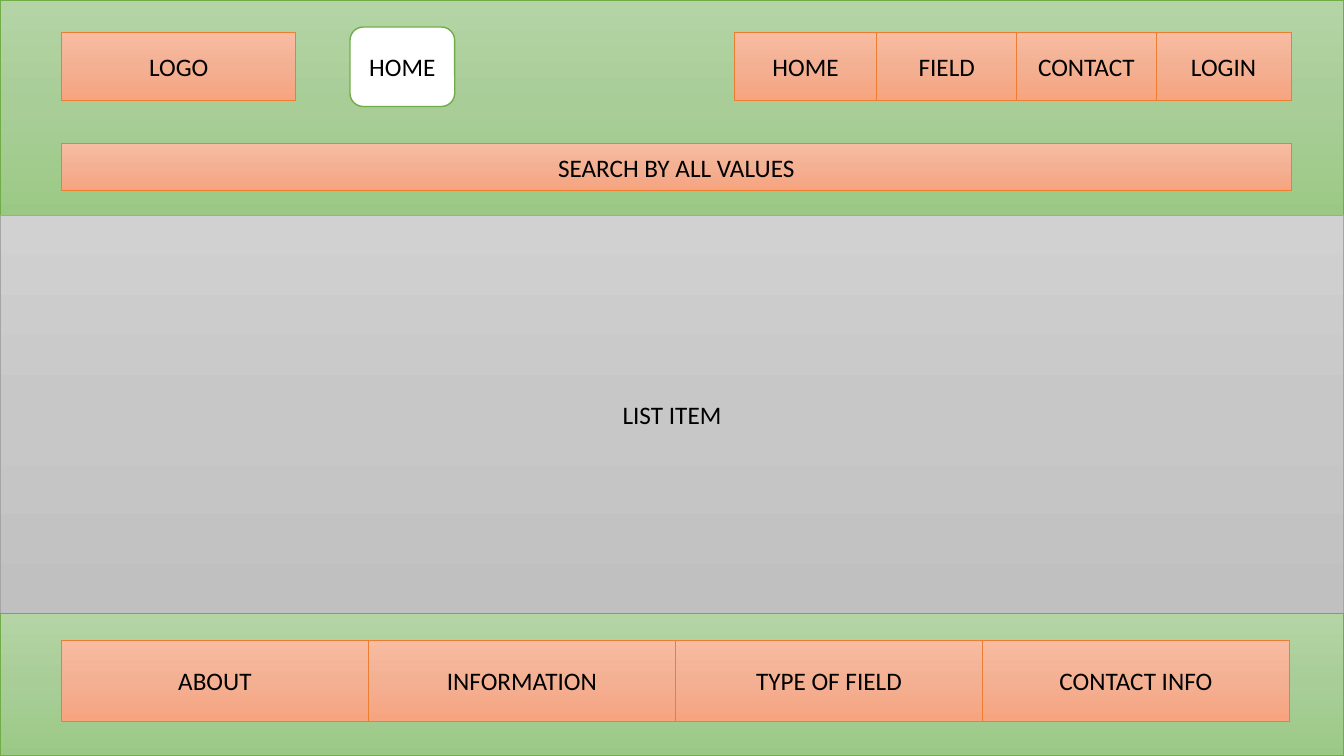
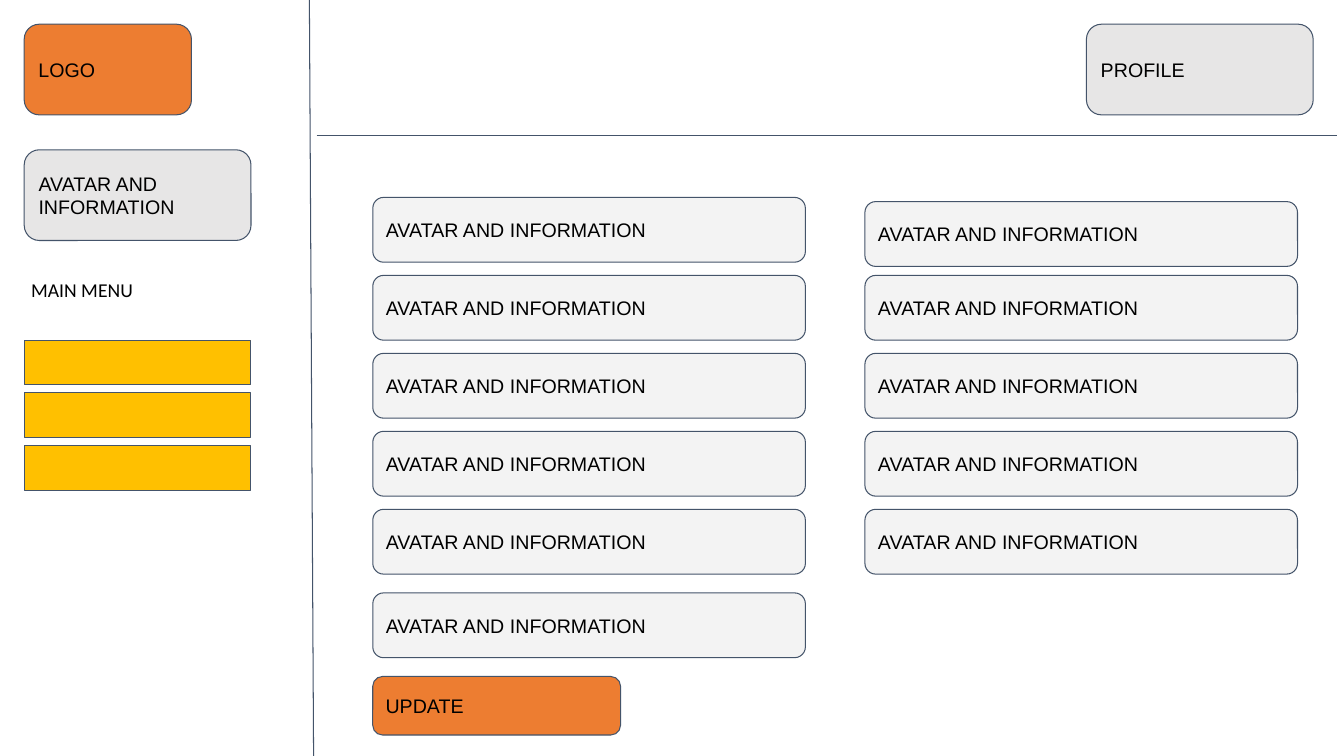
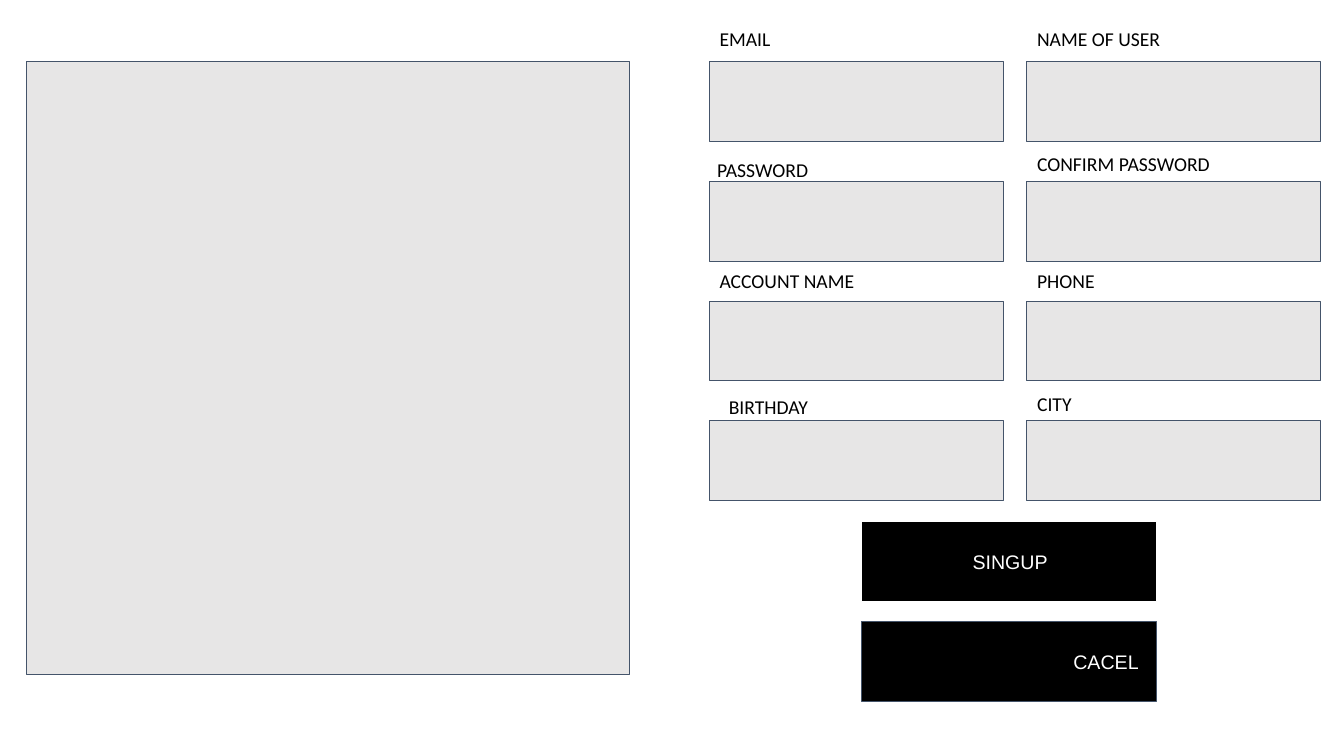
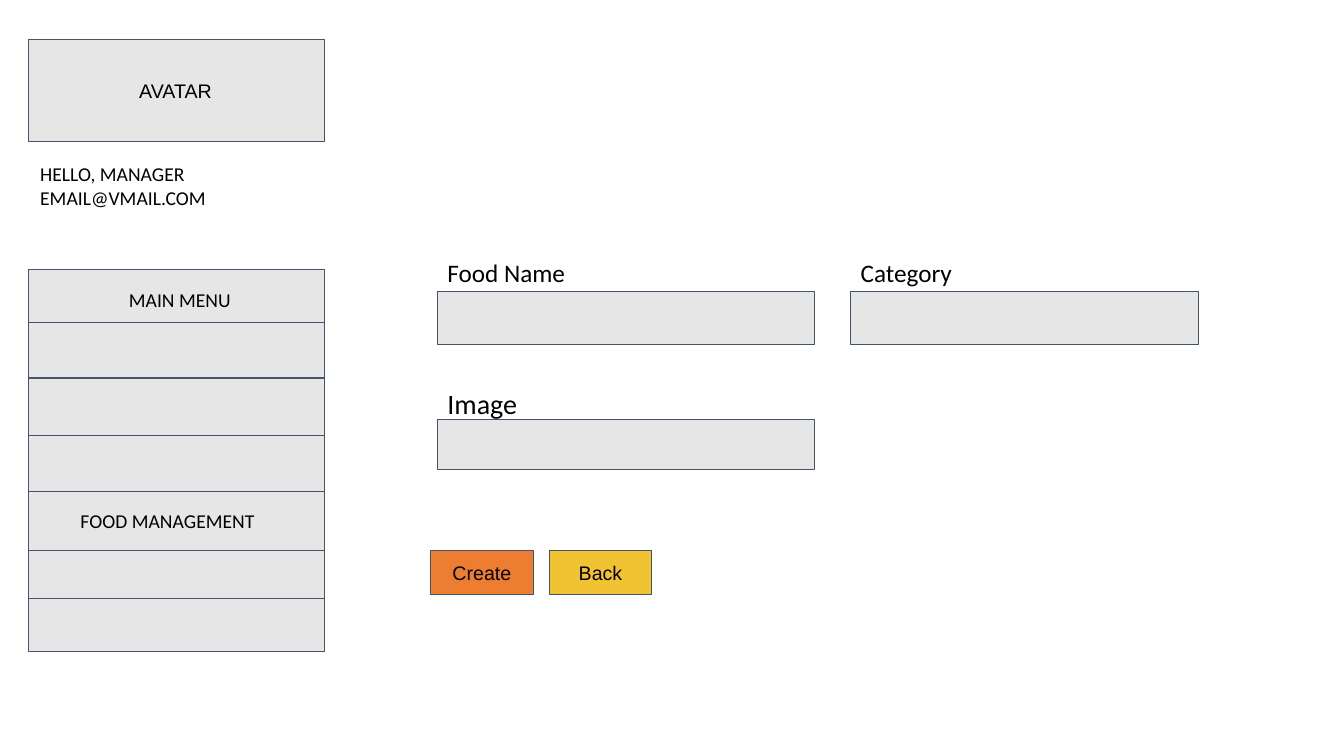
from copy import deepcopy

from lxml import etree
from pptx import Presentation
from pptx.dml.color import RGBColor
from pptx.enum import shapes, text
from pptx.oxml.ns import qn
from pptx.util import Pt

# Shared style
COLORS = {
    "black": "000000", "white": "FFFFFF", "slate": "44546A", "field": "E7E6E6",
    "card": "F3F3F3", "orange": "ED7D31", "gold": "FFC000", "mustard": "F1C232",
    "green": "70AD47", "gray": "A5A5A5",
}
GRADIENTS = {
    "orange": ("F7BCA2", "F4B093", "F7A47F"),
    "green": ("B4D4A5", "A8CD97", "9BC985"),
    "gray": ("D1D1D1", "C7C7C7", "C0C0C0"),
}
RECT = shapes.MSO_SHAPE.RECTANGLE
ROUND = shapes.MSO_SHAPE.ROUNDED_RECTANGLE
PROCESS = shapes.MSO_SHAPE.FLOWCHART_PROCESS
LEFT, CENTER = text.PP_ALIGN.LEFT, text.PP_ALIGN.CENTER
WIDTH, HEIGHT = 960, 540
INSET = 7.2
TAB = 36


def rgb(name):
    return RGBColor.from_string(COLORS[name])


def write(frame, lines, size, font, color="black", align=LEFT, margin=0, first=0, pad=INSET):
    """Fill a text frame; margin and first are the paragraph indents."""
    frame.word_wrap = True
    frame.margin_left = frame.margin_right = Pt(INSET)
    frame.margin_top = frame.margin_bottom = Pt(pad)
    for i, line in enumerate(lines.split("\n")):
        paragraph = frame.paragraphs[0] if i == 0 else frame.add_paragraph()
        paragraph.alignment = align
        if margin or first:
            props = paragraph._p.get_or_add_pPr()
            props.set("marL", str(Pt(margin)))
            props.set("indent", str(Pt(first)))
        run = paragraph.add_run()
        run.text = line
        run.font.size, run.font.name = Pt(size), font
        run.font.color.rgb = rgb(color)


def outline(slide, kind, place, line, weight=0.75):
    shape = slide.shapes.add_shape(kind, *map(Pt, place))
    shape.shadow.inherit = False
    shape.line.color.rgb = rgb(line)
    shape.line.width = Pt(weight)
    return shape


def box(slide, place, fill="field", words="", kind=RECT, line="slate", **style):
    """Flat box with Arial text."""
    shape = outline(slide, kind, place, line)
    shape.fill.solid()
    shape.fill.fore_color.rgb = rgb(fill)
    if words:
        write(shape.text_frame, words, 14, "Arial", **style)


def panel(slide, place, tone, words="", kind=PROCESS):
    """Box with a vertical three-stop gradient and centred text."""
    shape = outline(slide, kind, place, tone)
    shape.fill.gradient()
    shape.fill.gradient_angle = 270
    stop_list = shape._element.spPr.find(".//" + qn("a:gsLst"))
    stop_list.insert(1, deepcopy(stop_list[0]))
    for i, (stop, color) in enumerate(zip(shape.fill.gradient_stops, GRADIENTS[tone])):
        stop.position = i / 2
        stop.color.rgb = RGBColor.from_string(color)
    if words:
        write(shape.text_frame, words, 18, "Calibri", align=CENTER, pad=3.6)


def label(slide, place, words, size=14, **style):
    caption = slide.shapes.add_textbox(*map(Pt, place))
    write(caption.text_frame, words, size, "Calibri", **style)
    caption.text_frame.auto_size = text.MSO_AUTO_SIZE.SHAPE_TO_FIT_TEXT


def rule(slide, *ends):
    divider = slide.shapes.add_connector(shapes.MSO_CONNECTOR.STRAIGHT, *map(Pt, ends))
    divider.line.color.rgb = rgb("slate")
    divider.line.width = Pt(0.75)
    etree.SubElement(divider._element.spPr, qn("a:effectLst"))


def home_page(slide):
    # Header, list and footer bands
    panel(slide, (0, 0, WIDTH, 154), "green", kind=RECT)
    panel(slide, (0, 154, WIDTH, 284.5), "gray", "LIST ITEM", RECT)
    panel(slide, (0, 438.5, WIDTH, 101.5), "green", kind=RECT)

    # Header content
    left = 43.9
    panel(slide, (left, 23.5, 167.5, 48.2), "orange", "LOGO")
    nav_edges = (524.5, 626.3, 726.3, 825.8, 922.2)
    for words, start, end in zip(("HOME", "FIELD", "CONTACT", "LOGIN"), nav_edges, nav_edges[1:]):
        panel(slide, (start, 23.5, end - start, 48.2), "orange", words)
    panel(slide, (left, 102.7, 878.3, 33.4), "orange", "SEARCH BY ALL VALUES")
    current = outline(slide, ROUND, (250, 19.3, 74.8, 56.8), "green", 1)
    current.fill.solid()
    current.fill.fore_color.rgb = rgb("white")
    write(current.text_frame, "HOME", 18, "Calibri", align=CENTER, pad=3.6)

    # Footer links
    cell = 219.3
    for i, words in enumerate(("ABOUT", "INFORMATION", "TYPE OF FIELD", "CONTACT INFO")):
        panel(slide, (left + i * cell, 457.3, cell, 57.8), "orange", words)


def profile_page(slide):
    # Sidebar
    left, width = 17.3, 162
    box(slide, (left, 17.3, 119.5, 64.8), "orange", "LOGO", ROUND)
    box(slide, (left, 107, width, 64.8), "field", "AVATAR AND INFORMATION", ROUND)
    label(slide, (15.1, 191.5, width, 31.7), "MAIN MENU")
    for i in range(3):
        box(slide, (left, 243 + i * 37.7, width, 31.7), "gold")

    # Header and dividers
    box(slide, (776, 17.3, width, 64.8), "field", "PROFILE", ROUND)
    rule(slide, 221, 0, 224, HEIGHT)
    rule(slide, 226.1, 96.8, 954.7, 96.8)

    # Information cards: five shared rows and one extra on the left
    rows = [141 + i * 55.7 for i in range(5)]
    columns = ((266.3, rows + [423.5]), (617.8, [144] + rows[1:]))
    for x, tops in columns:
        for top in tops:
            box(slide, (x, top, 309, 46.3), "card", "AVATAR AND INFORMATION", ROUND)
    box(slide, (266.3, 483.2, 177, 41.8), "orange", "UPDATE", ROUND)


def signup_page(slide):
    box(slide, (18.7, 43.7, 431.3, 437.8))

    # Form fields
    width, height = 210.5, 57
    for x in (506.6, 733):
        for row in range(4):
            box(slide, (x, 43.9 + row * 85.6, width, height))

    # Field captions
    captions = (
        ("EMAIL", 506.9, 12.4), ("NAME OF USER", 733.7, 12.4),
        ("PASSWORD", 505.2, 105.8), ("CONFIRM PASSWORD", 733.7, 101.5),
        ("ACCOUNT NAME", 506.9, 185.2), ("PHONE", 733.7, 185.2),
        ("BIRTHDAY", 513.5, 275.2), ("CITY", 733.7, 273),
    )
    for words, x, y in captions:
        label(slide, (x, y, 189, 31.7), words)

    # Buttons
    box(slide, (615.6, 372.5, width, height), "black", "SINGUP",
        line="white", color="white", margin=TAB, first=TAB)
    box(slide, (615.6, 443.8, width, height), "black", "CACEL",
        color="white", margin=4 * TAB)


def food_page(slide):
    # Sidebar
    left, width = 20.3, 211.6
    box(slide, (left, 28.2, width, 73), words="AVATAR", margin=TAB, first=TAB)
    label(slide, (21.6, 108.7, width, 48.2), "HELLO, MANAGER\nEMAIL@VMAIL.COM")
    box(slide, (left, 192.7, width, 272.4))
    for y in (230.4, 270, 311, 351.2, 393.5, 427.2):
        rule(slide, left, y, left + width, y)
    label(slide, (49, 198.7, 154, 31.7), "MAIN MENU", first=TAB)
    label(slide, (50.4, 356.4, 154, 31.7), "FOOD MANAGEMENT")

    # Form fields with their captions
    fields = (
        ("Food Name", 18, 312.5, 176.4, (208.2, 269.5, 38)),
        ("Category", 18, 607.7, 176.4, (208.2, 248.5, 38)),
        ("Image", 20, 312.5, 268.6, (299.5, 269.5, 36.2)),
    )
    for words, size, x, caption_top, (top, field_width, height) in fields:
        box(slide, (x, top, field_width, height))
        label(slide, (x, caption_top, 150, 36), words, size)

    # Buttons
    for i, (words, fill) in enumerate((("Create", "orange"), ("Back", "mustard"))):
        box(slide, (307.5 + i * 84.7, 393.3, 73.5, 31.5), fill, words, align=CENTER)


def main():
    deck = Presentation()
    deck.slide_width, deck.slide_height = Pt(WIDTH), Pt(HEIGHT)
    for build in (home_page, profile_page, signup_page, food_page):
        build(deck.slides.add_slide(deck.slide_layouts[6]))
    deck.save("out.pptx")


if __name__ == "__main__":
    main()
